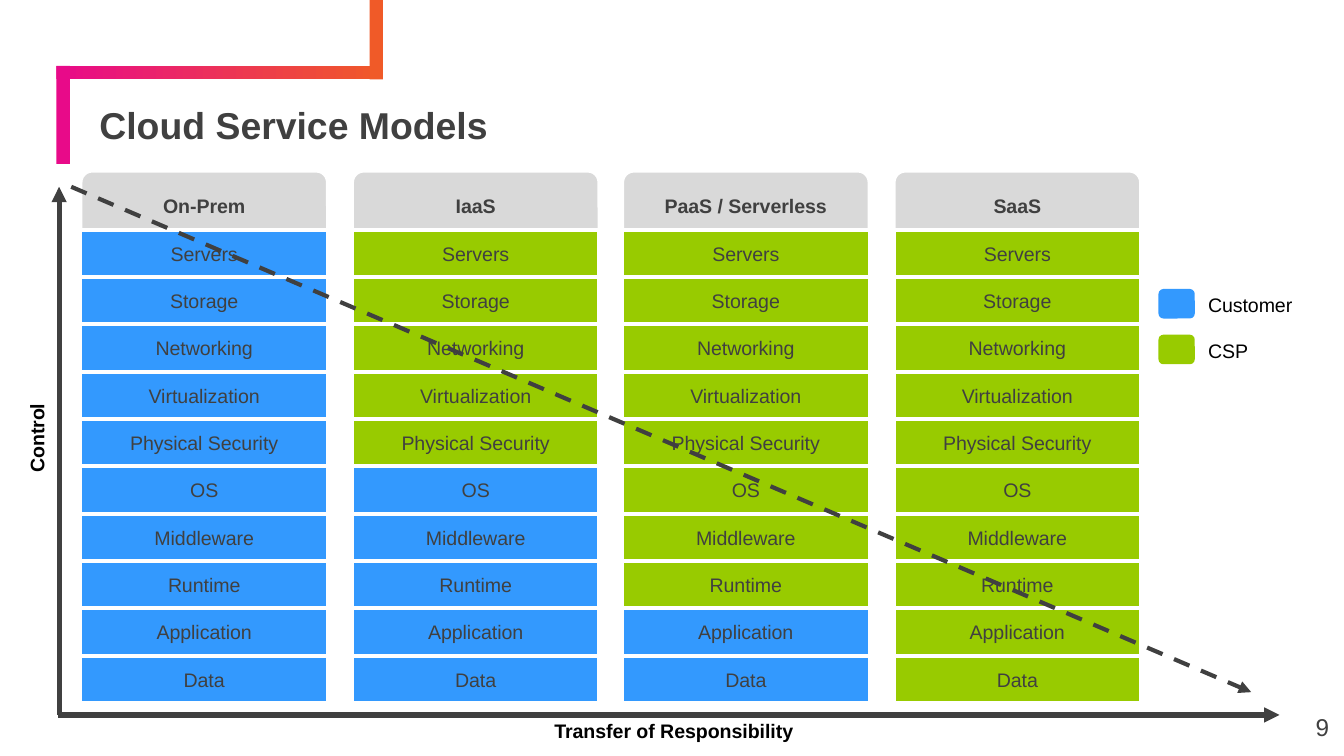
from lxml import etree
from pptx import Presentation
from pptx.dml.color import RGBColor
from pptx.enum.dml import MSO_LINE
from pptx.enum.shapes import MSO_CONNECTOR, MSO_SHAPE
from pptx.enum.text import MSO_ANCHOR, PP_ALIGN
from pptx.oxml.ns import qn
from pptx.util import Inches, Pt

RECT, ROUND = MSO_SHAPE.RECTANGLE, MSO_SHAPE.ROUNDED_RECTANGLE
STRAIGHT, DASH = MSO_CONNECTOR.STRAIGHT, MSO_LINE.DASH
LEFT, CENTER, RIGHT = PP_ALIGN.LEFT, PP_ALIGN.CENTER, PP_ALIGN.RIGHT
TOP, MIDDLE = MSO_ANCHOR.TOP, MSO_ANCHOR.MIDDLE

COLORS = {
    "ink": "404040", "black": "000000", "white": "FFFFFF", "head": "D9D9D9",
    "user": "3399FE", "csp": "98CB00", "pink": "E80A89", "orange": "F05A28",
}
LAYERS = ["Servers", "Storage", "Networking", "Virtualization",
          "Physical Security", "OS", "Middleware", "Runtime",
          "Application", "Data"]
# Model name, left edge, number of layers run by the provider
MODELS = [("On-Prem", 0.6, 0), ("IaaS", 2.62, 5),
          ("PaaS / Serverless", 4.63, 8), ("SaaS", 6.65, 10)]


def color(name):
    return RGBColor.from_string(COLORS[name])


def write(shape, text, size=10.5, ink="ink", bold=False, align=CENTER,
          anchor=MIDDLE):
    frame = shape.text_frame
    frame.word_wrap = True
    frame.vertical_anchor = anchor
    para = frame.paragraphs[0]
    para.alignment = align
    run = para.add_run()
    run.text = text
    run.font.name = "Arial"
    run.font.size = Pt(size)
    run.font.bold = bold
    run.font.color.rgb = color(ink)


def block(slide, kind, box, fill, edge=None):
    shape = slide.shapes.add_shape(kind, *map(Inches, box))
    shape.shadow.inherit = False
    shape.fill.solid()
    shape.fill.fore_color.rgb = color(fill)
    if edge:
        shape.line.color.rgb = color(edge)
        shape.line.width = Pt(2)
    else:
        shape.line.fill.background()
    return shape


def label(slide, box, text, **style):
    shape = slide.shapes.add_textbox(*map(Inches, box))
    write(shape, text, **style)
    return shape


def inset(shape):
    frame = shape.text_frame
    frame.margin_left = frame.margin_right = Inches(0.07)
    frame.margin_top = frame.margin_bottom = Inches(0.04)


def arrow(slide, start, end, width, dash=None):
    line = slide.shapes.add_connector(STRAIGHT, *map(Inches, start + end))
    line.line.color.rgb = color("ink")
    line.line.width = Pt(width)
    if dash:
        line.line.dash_style = dash
    props = line._element.spPr
    tip = etree.SubElement(props.find(qn("a:ln")), qn("a:tailEnd"))
    tip.set("type", "triangle")
    etree.SubElement(props, qn("a:effectLst"))


def frame_bars(slide, x, y, width):
    # Gradient bar with a riser on the right and a drop on the left
    bar = block(slide, RECT, (x, y, width, 0.1), "pink")
    bar.fill.gradient()
    bar.fill.gradient_angle = 0
    for stop, name in zip(bar.fill.gradient_stops, ("pink", "orange")):
        stop.color.rgb = color(name)
    block(slide, RECT, (x, y, 0.1, 0.73), "pink")
    block(slide, RECT, (x + width - 0.1, 0, 0.1, y + 0.1), "orange")


def headings(slide, x, y):
    title = label(slide, (x, y, 9.03, 0.34), "Cloud Service Models",
                  size=20, bold=True, align=LEFT)
    title.text_frame.paragraphs[0].line_spacing = 0.9
    number = label(slide, (x + 8.69, y + 4.41, 0.6, 0.43), "9", size=13,
                   align=RIGHT)
    for shape in (title, number):
        inset(shape)


def column(slide, box, name, count):
    x, y, width, height = box
    head = block(slide, ROUND, (x, y, width, 0.52), "head", "white")
    write(head, name, bold=True)
    first, tall = 0.44, 0.35
    step = (height - first - tall) / (len(LAYERS) - 1)
    for i, layer in enumerate(LAYERS):
        cell = block(slide, RECT, (x, y + first + i * step, width, tall),
                     "csp" if i < count else "user", "white")
        write(cell, layer)


def legend(slide, x, y):
    for i, (text, fill) in enumerate([("Customer", "user"), ("CSP", "csp")]):
        top = y + i * 0.34
        block(slide, ROUND, (x, top, 0.27, 0.22), fill)
        label(slide, (x + 0.27, top - 0.02, 1, 0.28), text, ink="black",
              align=LEFT, anchor=TOP)


def axes(slide, x, y, width, height):
    base = y + height
    arrow(slide, (x, base), (x, y), 2.75)
    arrow(slide, (x - 0.01, base), (x + width, base), 2.75)
    style = {"ink": "black", "bold": True, "anchor": TOP}
    side = label(slide, (x - 0.68, y + 1.73, 1.03, 0.28), "Control", **style)
    side.rotation = 270
    label(slide, (x + 3.39, base - 0.02, 2.37, 0.28),
          "Transfer of Responsibility", **style)
    # Falling trend
    arrow(slide, (x + 0.09, y), (x + 8.87, base - 0.17), 2.25, DASH)


def main():
    deck = Presentation()
    # Widescreen, 16 by 9
    deck.slide_width = Inches(10)
    deck.slide_height = Inches(10 * 9 / 16)
    slide = deck.slides.add_slide(deck.slide_layouts[6])
    frame_bars(slide, 0.42, 0.49, 2.43)
    headings(slide, 0.67, 0.78)
    for name, x, count in MODELS:
        column(slide, (x, 1.27, 1.84, 3.96), name, count)
    legend(slide, 8.62, 2.15)
    axes(slide, 0.44, 1.39, 9.08, 3.93)
    deck.save("out.pptx")


if __name__ == "__main__":
    main()
